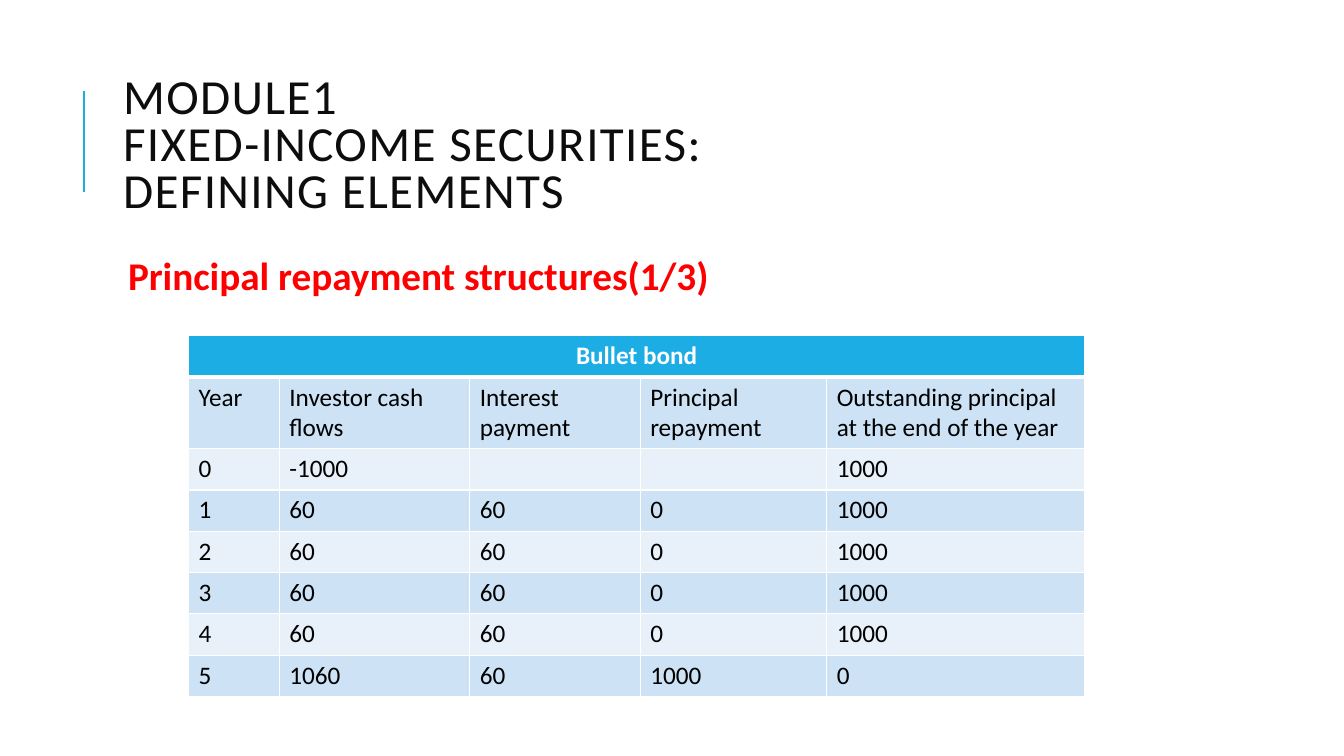
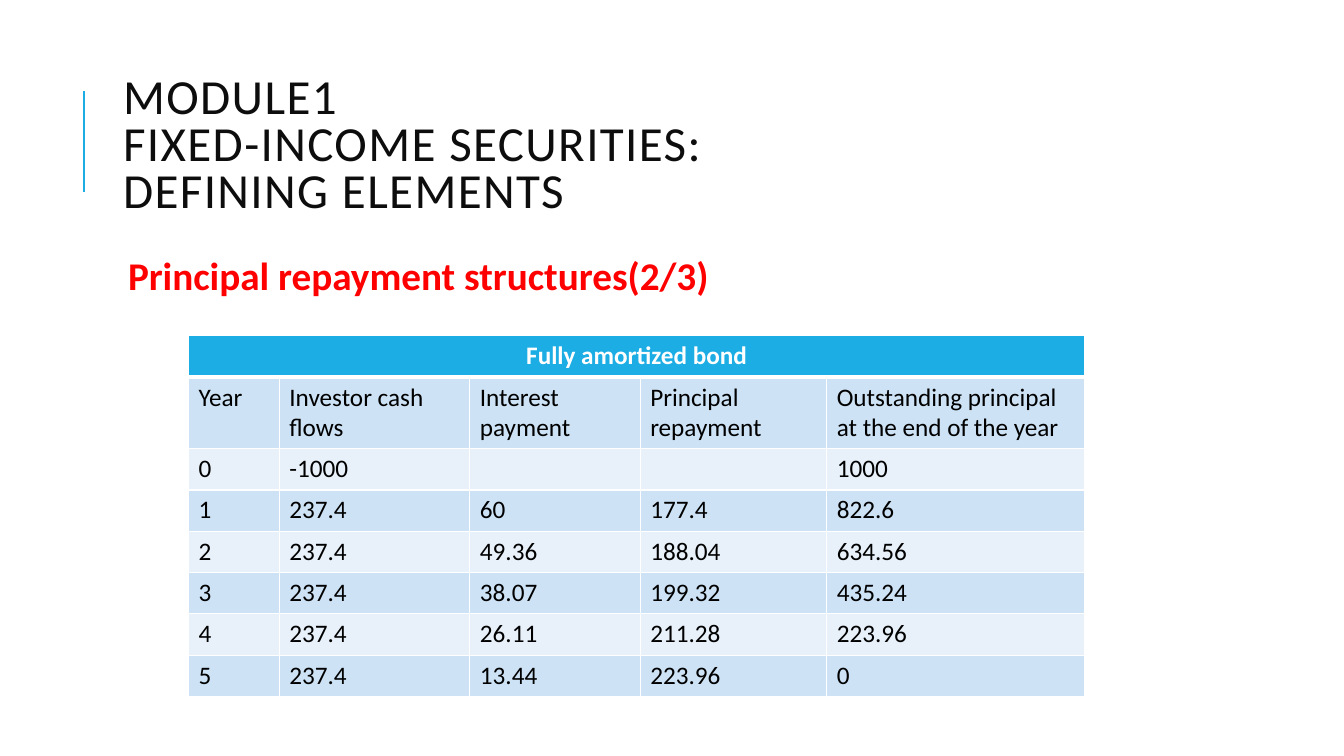
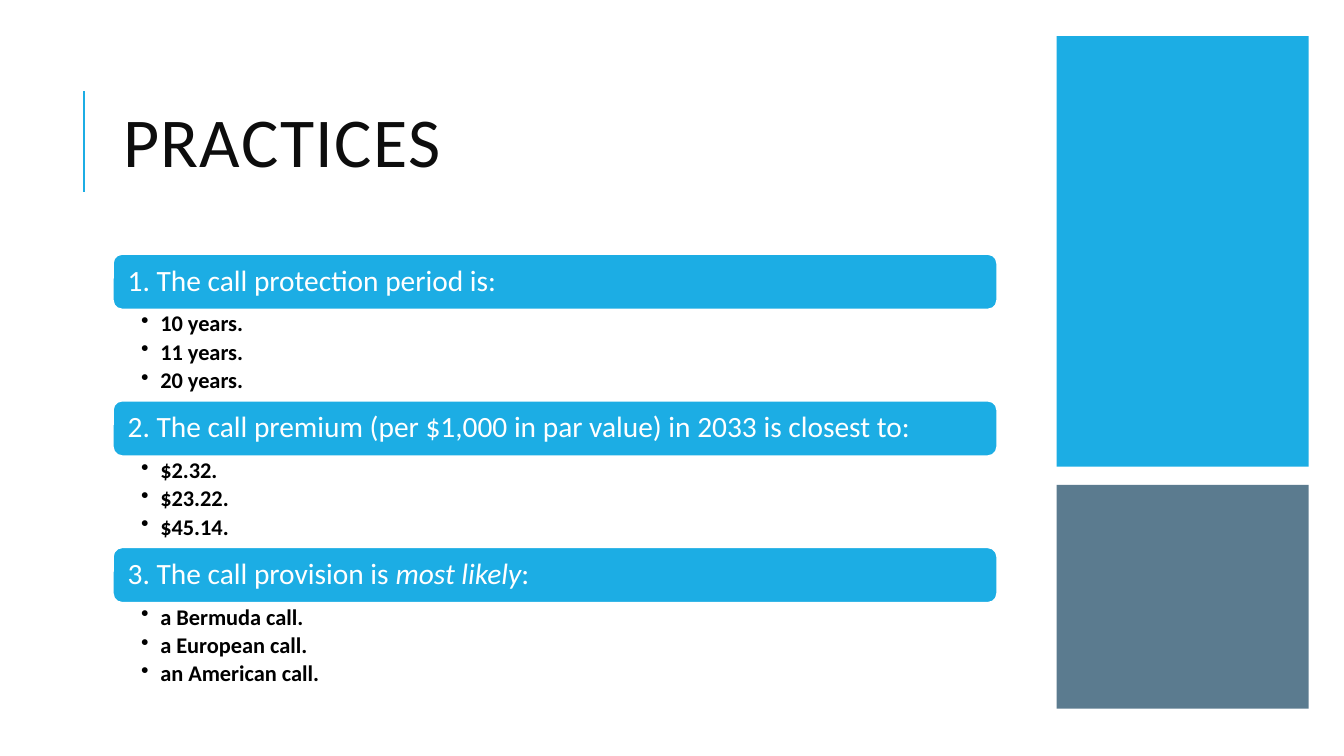
from lxml import etree
from pptx import Presentation
from pptx.dml.color import RGBColor
from pptx.enum.shapes import MSO_CONNECTOR, MSO_SHAPE
from pptx.enum.text import MSO_ANCHOR, MSO_AUTO_SIZE, PP_ALIGN
from pptx.oxml.ns import qn
from pptx.util import Inches, Pt

LEFT, CENTER = PP_ALIGN.LEFT, PP_ALIGN.CENTER
TOP, MIDDLE = MSO_ANCHOR.TOP, MSO_ANCHOR.MIDDLE
FIXED = MSO_AUTO_SIZE.NONE
RECT, ROUND = MSO_SHAPE.RECTANGLE, MSO_SHAPE.ROUNDED_RECTANGLE
STRAIGHT = MSO_CONNECTOR.STRAIGHT

WIDE, HIGH = 13.33, 7.5
FACE = "Calibri"
BLUE, SLATE, RED = "1CADE4", "335B74", "FF0000"
INK, BLACK, WHITE = "0D0D0D", "000000", "FFFFFF"
BANDS = ("CDE3F5", "E8F1FA")

EDGE = 1.12
MODULE = ["MODULE1", "FIXED-INCOME SECURITIES: ", "DEFINING ELEMENTS"]
HEADS = ["Year", "Investor cash flows", "Interest payment", "Principal repayment",
         "Outstanding principal at the end of the year"]
START = ["0", "-1000", "", "", "1000"]
COLS = (0.9, 1.89, 1.69, 1.85, 2.56)
ROW, TALL = 0.41, 0.7

BULLET = [START] + [[str(year), "60", "60", "0", "1000"] for year in range(1, 5)]
BULLET.append(["5", "1060", "60", "1000", "0"])
SHARES = [("60", "177.4", "822.6"), ("49.36", "188.04", "634.56"),
          ("38.07", "199.32", "435.24"), ("26.11", "211.28", "223.96"),
          ("13.44", "223.96", "0")]
AMORT = [START] + [[str(year), "237.4", *rest] for year, rest in enumerate(SHARES, 1)]

QUIZ = [
    (["1. The call protection period is:"],
     ["10 years.", "11 years.", "20 years."]),
    (["2. The call premium (per $1,000 in par value) in 2033 is closest to:"],
     ["$2.32.", "$23.22.", "$45.14."]),
    (["3. The call provision is ", "most likely", ":"],
     ["a Bermuda call.", "a European call.", "an American call."]),
]


def tint(code):
    """Turn a hex string into a colour."""
    return RGBColor.from_string(code)


def inch(box):
    """Turn a box in inches into lengths."""
    return [Inches(side) for side in box]


def style(para, size, color, bold=False, lines=1.0, align=LEFT):
    """Set the font and spacing of a paragraph."""
    font = para.font
    font.name, font.size, font.bold = FACE, Pt(size), bold
    font.color.rgb = tint(color)
    para.line_spacing, para.alignment = lines, align


def frame(shape, pads, anchor=TOP):
    """Set wrapping, insets and anchor, and return the text frame."""
    text = shape.text_frame
    text.word_wrap, text.auto_size, text.vertical_anchor = True, FIXED, anchor
    (text.margin_left, text.margin_top,
     text.margin_right, text.margin_bottom) = inch(pads)
    return text


def block(slide, kind, box, color):
    """Add a filled shape without outline or shadow."""
    shape = slide.shapes.add_shape(kind, *inch(box))
    shape.shadow.inherit = False
    shape.fill.solid()
    shape.fill.fore_color.rgb = tint(color)
    shape.line.fill.background()
    return shape


def base(deck, lines, size, width):
    """Add a slide with the accent rule and its title."""
    slide = deck.slides.add_slide(deck.slide_layouts[5])
    rule = slide.shapes.add_connector(STRAIGHT, *inch((0.83, 1.9, 0.83, 0.9)))
    rule.line.color.rgb, rule.line.width = tint(BLUE), Pt(1.5)
    etree.SubElement(rule._element.spPr, qn("a:effectLst"))
    title = slide.shapes.title
    title.left, title.top, title.width, title.height = inch((EDGE, 0.64, width, 1.64))
    para = frame(title, (0.1, 0.05, 0.1, 0.05), MIDDLE).paragraphs[0]
    for index, line in enumerate(lines):
        if index:
            para.add_line_break()
        para.add_run().text = line
    style(para, size, INK, lines=0.8)
    para._p.pPr.find(qn("a:defRPr")).set("spc", "100")
    return slide


def border(cell, base_pt):
    """Draw white lines around a cell, with its own weight below."""
    props = cell._tc.get_or_add_tcPr()
    sides = (("lnL", 1), ("lnR", 1), ("lnT", 1), ("lnB", base_pt))
    for index, (side, weight) in enumerate(sides):
        line = etree.Element(qn("a:" + side), w=str(Pt(weight)))
        fill = etree.SubElement(line, qn("a:solidFill"))
        etree.SubElement(fill, qn("a:srgbClr"), val=WHITE)
        props.insert(index, line)


def grid(slide, left, top, name, rows):
    """Add a bond table: a merged header above banded rows."""
    heights = [ROW, TALL] + [ROW] * len(rows)
    data = [[name] + [""] * (len(COLS) - 1), HEADS] + rows
    box = inch((left, top, sum(COLS), sum(heights)))
    table = slide.shapes.add_table(len(data), len(COLS), *box).table
    table.first_row = table.horz_banding = False
    for column, width in zip(table.columns, COLS):
        column.width = Inches(width)
    for r, (values, height) in enumerate(zip(data, heights)):
        table.rows[r].height = Inches(height)
        head = r == 0
        for c, value in enumerate(values):
            cell = table.cell(r, c)
            cell.text = value
            cell.fill.solid()
            cell.fill.fore_color.rgb = tint(BLUE if head else BANDS[(r - 1) % 2])
            border(cell, 3 if head else 1)
            style(cell.text_frame.paragraphs[0], 18, WHITE if head else BLACK,
                  head, align=CENTER if head else LEFT)
    table.cell(0, 0).merge(table.cell(0, len(COLS) - 1))


def bond(deck, part, name, rows):
    """Build one slide on a repayment structure."""
    slide = base(deck, MODULE, 35, 10.63)
    label = slide.shapes.add_textbox(*inch((EDGE, 2.5, 10.63, 0.6)))
    para = frame(label, (0.15, 0.05, 0.05, 0.05)).paragraphs[0]
    para.text = f"Principal repayment structures({part}/3)"
    style(para, 28, RED, True, 0.9)
    grid(slide, 1.87, 3.33, name, rows)


def ask(slide, box, parts, picks):
    """Add a question bar with its answers below, inside a box."""
    left, top, width, height = box
    bar = 0.55
    shape = block(slide, ROUND, (left, top, width, bar), BLUE)
    shape.line.color.rgb, shape.line.width = tint(WHITE), Pt(1.25)
    para = frame(shape, (0.12, 0.09, 0.12, 0.09), MIDDLE).paragraphs[0]
    for index, part in enumerate(parts):
        run = para.add_run()
        run.text = part
        if index == 1:
            run.font.italic = True
    style(para, 21, WHITE, lines=0.9)

    notes = slide.shapes.add_textbox(*inch((left, top + bar, width, height - bar)))
    text = frame(notes, (0.28, 0.03, 0.16, 0.03))
    text.text = "\n".join(picks)
    for para in text.paragraphs:
        style(para, 16, BLACK, True, 0.9)
        para.space_after = Pt(3)
        props = para._p.pPr
        props.set("marL", str(Inches(0.19)))
        props.set("indent", str(Inches(-0.19)))
        dot = etree.Element(qn("a:buChar"), char="•")
        props.find(qn("a:defRPr")).addprevious(dot)


def quiz(deck):
    """Build the practice slide with questions and side panels."""
    width, step = 8.77, 1.455
    slide = base(deck, ["PRACTICES"], 50, width)
    for index, (parts, picks) in enumerate(QUIZ):
        ask(slide, (EDGE, 2.52 + index * step, width, step), parts, picks)
    block(slide, RECT, (10.48, 0.36, 2.5, 4.27), BLUE)
    panel = block(slide, RECT, (10.48, 4.81, 2.5, 2.22), SLATE)
    color = panel._element.spPr.find(qn("a:solidFill"))[0]
    etree.SubElement(color, qn("a:alpha"), val="80000")


def main():
    """Build and save the deck."""
    deck = Presentation()
    deck.slide_width, deck.slide_height = inch((WIDE, HIGH))
    bond(deck, 1, "Bullet bond", BULLET)
    bond(deck, 2, "Fully amortized bond", AMORT)
    quiz(deck)
    deck.save("out.pptx")


if __name__ == "__main__":
    main()
